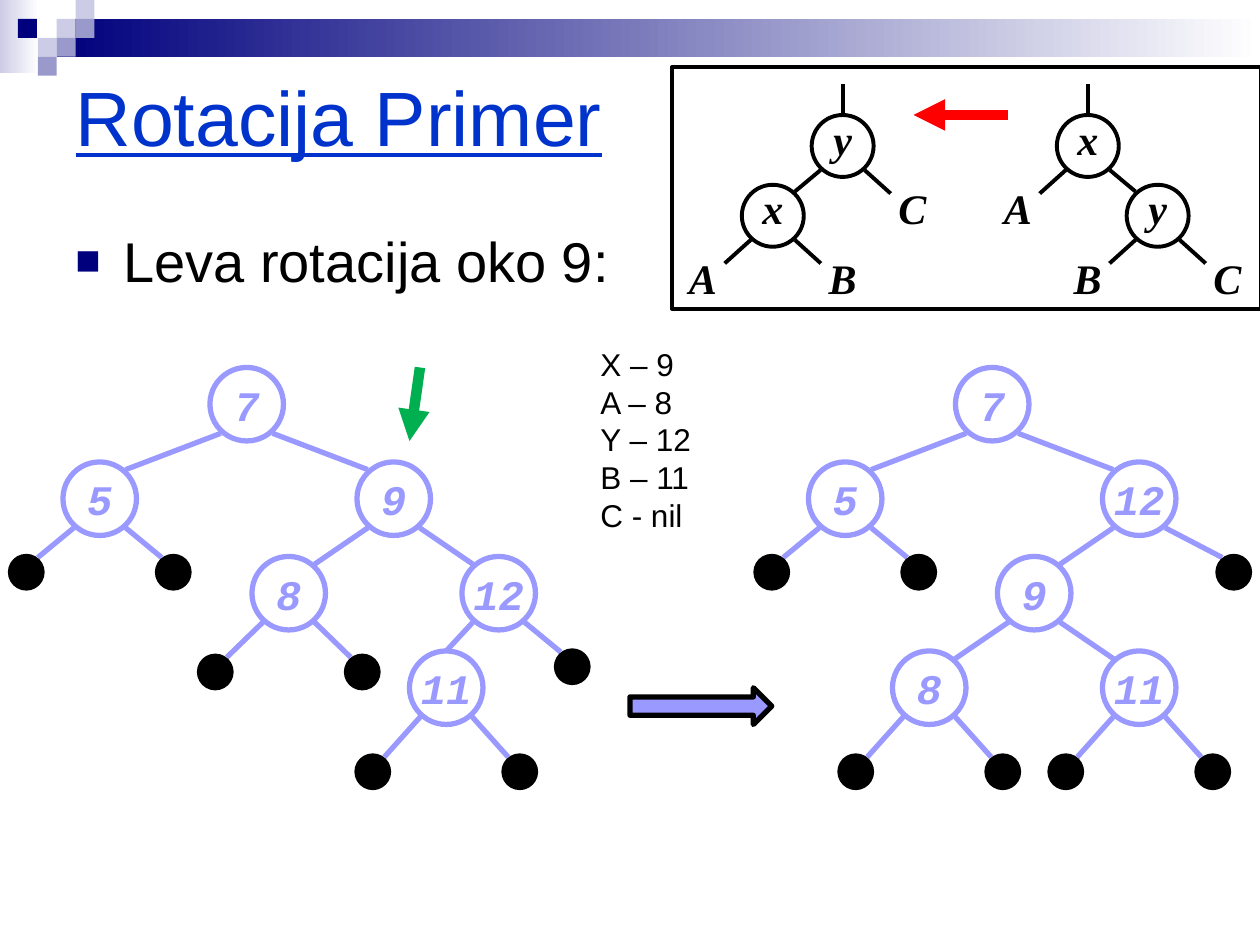
from typing import NamedTuple
from lxml.etree import SubElement
from pptx import Presentation
from pptx.dml.color import RGBColor
from pptx.enum.shapes import MSO_CONNECTOR, MSO_SHAPE
from pptx.enum.text import MSO_ANCHOR, MSO_AUTO_SIZE, PP_ALIGN
from pptx.oxml.ns import qn
from pptx.util import Inches, Pt

BLACK = RGBColor(0x00, 0x00, 0x00)
WHITE = RGBColor(0xFF, 0xFF, 0xFF)
NAVY = RGBColor(0x00, 0x00, 0x7D)
BLUE = RGBColor(0x00, 0x33, 0xCC)
LILAC = RGBColor(0x99, 0x99, 0xFF)
MID = RGBColor(0x99, 0x99, 0xCC)
PALE = RGBColor(0xCC, 0xCC, 0xE6)
RED = RGBColor(0xFF, 0x00, 0x00)
GREEN = RGBColor(0x00, 0xB0, 0x50)

COLS, ROWS = 120, 90
LEVEL = 9
STEP = 6.65
PIXEL = 1.8

MONO = dict(name="Courier New", size=Pt(24), bold=True, italic=True)
SERIF = dict(MONO, name="Times New Roman")


class Kind(NamedTuple):
    size: float
    fill: RGBColor
    line: RGBColor | None
    wide: float
    reach: tuple
    font: dict
    space: float


class Node(NamedTuple):
    kind: Kind
    text: str
    dx: float
    dy: float
    kids: tuple = ()


KEY = Kind(7, WHITE, LILAC, 3, (2.47, 2.77), MONO, 1)
NIL = Kind(3, BLACK, BLACK, 3, (1.1, 1.4), MONO, 1)
RING = Kind(5.9, WHITE, BLACK, 2.25, (2.1, 2.3), SERIF, 0.6)
BARE = Kind(5.9, WHITE, None, 2.25, (2, 2.05), SERIF, 0.6)


def key(text, dx, *kids):
    return Node(KEY, text, dx, LEVEL, kids)


def nil(dx, dy):
    return Node(NIL, "", dx, dy)


def pair(dy):
    return nil(-7, dy), nil(7, dy)


def ring(text, side, *kids):
    return Node(RING, text, side * STEP, STEP, kids)


def bare(text, side):
    return Node(BARE, text, side * STEP, STEP)


class Deck:
    def __init__(self):
        self.prs = Presentation()
        self.prs.slide_width, self.prs.slide_height = Inches(10), Inches(7.5)
        self.slide = self.prs.slides.add_slide(self.prs.slide_layouts[5])
        self.shapes = self.slide.shapes

    def place(self, *cells):
        sizes = (self.prs.slide_width / COLS, self.prs.slide_height / ROWS) * 2
        return [round(cell * size) for cell, size in zip(cells, sizes)]

    def style(self, font, color, values):
        for name, value in values.items():
            setattr(font, name, value)
        font.color.rgb = color

    def shape(self, form, box, fill=None, line=None, wide=1, fade=None):
        item = self.shapes.add_shape(form, *self.place(*box))
        item.shadow.inherit = False
        if fade:
            item.fill.gradient()
            item.fill.gradient_angle = 0
            for stop, color in zip(item.fill.gradient_stops, fade):
                stop.color.rgb = color
        elif fill is None:
            item.fill.background()
        else:
            item.fill.solid()
            item.fill.fore_color.rgb = fill
        if line is None:
            item.line.fill.background()
        else:
            item.line.color.rgb = line
            item.line.width = Pt(wide)
        return item

    def line(self, start, end, color, wide, arrow=False):
        item = self.shapes.add_connector(
            MSO_CONNECTOR.STRAIGHT, *self.place(*start, *end))
        item.line.color.rgb = color
        item.line.width = Pt(wide)
        if arrow:
            SubElement(item.line._get_or_add_ln(), qn("a:tailEnd"), type="triangle")
        SubElement(item._element.spPr, qn("a:effectLst"))

    def title(self, text, box):
        item = self.shapes.title
        item.left, item.top, item.width, item.height = self.place(*box)
        frame = item.text_frame
        frame.text = text
        frame.auto_size = MSO_AUTO_SIZE.NONE
        frame.vertical_anchor = MSO_ANCHOR.MIDDLE
        para = frame.paragraphs[0]
        para.alignment = PP_ALIGN.LEFT
        self.style(para.font, BLUE, dict(name="Arial", size=Pt(44), underline=True))

    def text(self, lines, box, size, bullet=False):
        frame = self.shapes.add_textbox(*self.place(*box)).text_frame
        frame.word_wrap = True
        for i, words in enumerate(lines):
            para = frame.paragraphs[0] if i == 0 else frame.add_paragraph()
            para.text = words
            if bullet:
                self.bullet(para)
            self.style(para.font, BLACK, dict(name="Arial", size=Pt(size)))

    def bullet(self, para):
        props = para._p.get_or_add_pPr()
        props.set("marL", str(Inches(0.38)))
        props.set("indent", str(Inches(-0.38)))
        SubElement(SubElement(props, qn("a:buClr")), qn("a:srgbClr"), val=str(NAVY))
        SubElement(props, qn("a:buSzPct"), val="75000")
        SubElement(props, qn("a:buFont"), typeface="Arial")
        SubElement(props, qn("a:buChar"), char="■")

    def tree(self, node, x, y):
        kind = node.kind
        for kid in node.kids:
            side = 1 if kid.dx > 0 else -1
            over, down = kind.reach
            back, up = kid.kind.reach
            if abs(kid.dx) <= 2 * over + 0.1:
                back, up = 0, kid.kind.size / 2
            kx, ky = x + kid.dx, y + kid.dy
            self.line((x + side * over, y + down), (kx - side * back, ky - up),
                      kind.line, kind.wide)
            self.tree(kid, kx, ky)
        half = kind.size / 2
        item = self.shape(MSO_SHAPE.OVAL, (x - half, y - half, kind.size, kind.size),
                          kind.fill, kind.line, kind.wide)
        if node.text:
            frame = item.text_frame
            frame.word_wrap = False
            frame.vertical_anchor = MSO_ANCHOR.MIDDLE
            para = frame.paragraphs[0]
            para.text = node.text
            para.alignment = PP_ALIGN.CENTER
            para.line_spacing = kind.space
            self.style(para.font, kind.line or BLACK, kind.font)


def main():
    deck = Deck()
    rect = MSO_SHAPE.RECTANGLE
    deck.shape(rect, (0, 0, 3.7, 7), fade=(PALE, WHITE))
    deck.shape(rect, (5.4, PIXEL, 114.6, 3.6), fade=(NAVY, WHITE))
    for col, row, color in ((3, 1, PALE), (4, 0, PALE), (4, 1, MID), (2, 2, PALE),
                            (0.95, 1, NAVY), (3, 2, MID), (2, 3, MID)):
        deck.shape(rect, (col * PIXEL, row * PIXEL, PIXEL, PIXEL), color)

    deck.title("Rotacija Primer", (6, 6, 108, 10))
    deck.text(["Leva rotacija oko 9:"], (6, 21, 56, 8), 32, bullet=True)

    before = key("7", 0,
                 key("5", -14, *pair(7)),
                 key("9", 14,
                     key("8", -10, *pair(7.5)),
                     key("12", 10, key("11", -5, *pair(8)), nil(7, 7))))
    after = key("7", 0,
                key("5", -14, *pair(7)),
                key("12", 14,
                    key("9", -10, key("8", -10, *pair(8)), key("11", 10, *pair(8))),
                    nil(9, 7)))
    deck.tree(before, 23.5, 38.5)

    left = ring("y", 0, ring("x", -1, bare("A", -1), bare("B", 1)), bare("C", 1))
    right = ring("x", 0, bare("A", -1), ring("y", 1, bare("B", -1), bare("C", 1)))
    for root, x in ((left, 80.25), (right, 103.6)):
        deck.tree(root, x, 13.9)
        deck.line((x, 10.95), (x, 8), BLACK, 2.25)
    deck.shape(rect, (64, 6.4, 56.1, 23), line=BLACK, wide=2.25)

    deck.tree(after, 94.5, 38.5)
    deck.line((96, 10.95), (87, 10.95), RED, 6, arrow=True)
    deck.text(["X – 9", "A – 8", "Y – 12", "B – 11", "C - nil"],
              (56, 32.25, 14.6, 19.2), 18)
    deck.shape(MSO_SHAPE.RIGHT_ARROW, (60, 65.5, 13.5, 3.5), LILAC, BLACK, 3)
    deck.line((40, 35), (39, 42), GREEN, 6, arrow=True)
    deck.prs.save("out.pptx")


if __name__ == "__main__":
    main()
